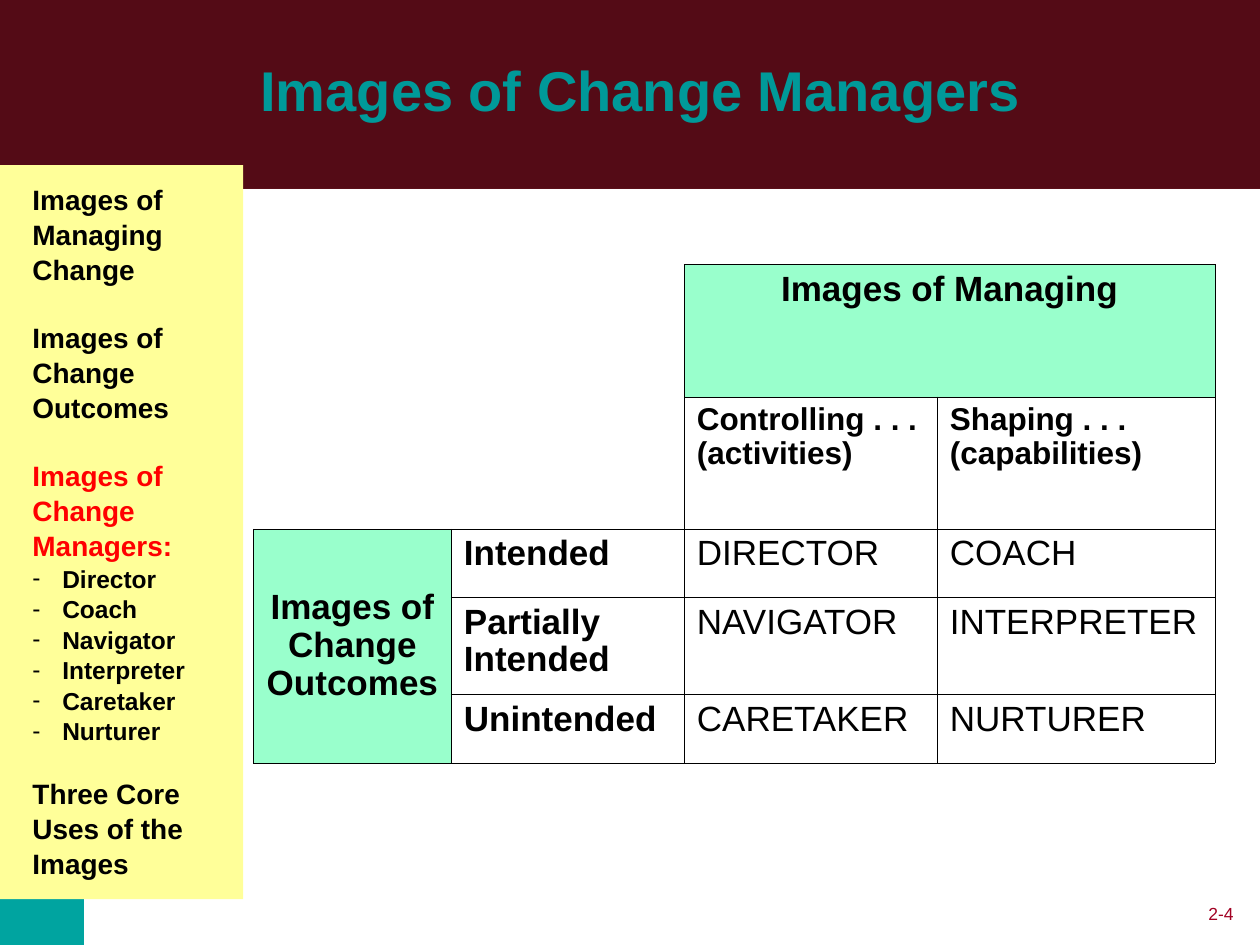
from dataclasses import dataclass

from lxml.etree import SubElement
from pptx import Presentation
from pptx.dml.color import RGBColor
from pptx.enum.shapes import MSO_SHAPE as Preset
from pptx.enum.text import MSO_ANCHOR as Anchor, PP_ALIGN as Align
from pptx.oxml.ns import qn
from pptx.util import Pt


@dataclass(frozen=True)
class Theme:
    """Colours, font and type sizes of the deck."""
    font: str = "Arial"
    navy: str = "003366"
    maroon: str = "6C0000"
    teal: str = "00A4A0"
    title: str = "009999"
    mint: str = "99FFCC"
    yellow: str = "FFFF99"
    white: str = "FFFFFF"
    black: str = "000000"
    red: str = "FF0000"
    crimson: str = "A20123"
    title_size: int = 32
    heading_size: int = 20
    column_size: int = 18
    topic_size: int = 16
    role_size: int = 14
    number_size: int = 10
    border: float = 0.45


class SlideBuilder:
    """Draws styled elements on one slide."""

    def __init__(self, slide, theme):
        self.slide, self.theme = slide, theme
        backdrop = slide.background.fill
        backdrop.solid()
        backdrop.fore_color.rgb = RGBColor.from_string(theme.navy)

    def panel(self, left, top, width, height, color, opacity=100):
        panel = self.slide.shapes.add_shape(
            Preset.RECTANGLE, Pt(left), Pt(top), Pt(width), Pt(height))
        panel.shadow.inherit = False
        panel.line.fill.background()
        panel.fill.solid()
        panel.fill.fore_color.rgb = RGBColor.from_string(color)
        if opacity < 100:
            tint = panel.fill._xPr.find(qn("a:solidFill"))[0]
            SubElement(tint, qn("a:alpha"), val=str(opacity * 1000))

    def style(self, paragraph, size, color, bold=True, align=Align.LEFT, spacing=1.0):
        paragraph.alignment = align
        paragraph.line_spacing = spacing
        for run in paragraph.runs:
            run.font.name = self.theme.font
            run.font.size = Pt(size)
            run.font.bold = bold
            run.font.color.rgb = RGBColor.from_string(color)

    def frame(self, left, top, width, height, anchor=Anchor.TOP):
        frame = self.slide.shapes.add_textbox(
            Pt(left), Pt(top), Pt(width), Pt(height)).text_frame
        frame.word_wrap = True
        frame.vertical_anchor = anchor
        return frame

    def label(self, text, left, top, width, height, size, color, bold, align, anchor):
        frame = self.frame(left, top, width, height, anchor)
        frame.text = text
        self.style(frame.paragraphs[0], size, color, bold, align)

    def bullet(self, paragraph, indent):
        properties = paragraph._p.get_or_add_pPr()
        properties.set("marL", str(Pt(indent)))
        properties.set("indent", str(-Pt(indent)))
        tint = SubElement(properties, qn("a:buClr"))
        SubElement(tint, qn("a:srgbClr"), val=self.theme.black)
        SubElement(properties, qn("a:buFont"), typeface=self.theme.font)
        SubElement(properties, qn("a:buChar"), char="-")

    def outline(self, left, top, width, height, entries):
        frame = self.frame(left, top, width, height)
        frame.text = "\n".join(text for text, *_ in entries)
        for paragraph, (_, size, color, gap, is_role) in zip(frame.paragraphs, entries):
            if is_role:
                self.bullet(paragraph, 17)
            if gap:
                paragraph.space_before = Pt(gap)
            self.style(paragraph, size, color, spacing=1.04)

    def edges(self, cell, visible):
        properties = cell._tc.get_or_add_tcPr()
        for side in "LRTB":
            edge = SubElement(properties, qn(f"a:ln{side}"), w=str(Pt(self.theme.border)))
            if side in visible:
                ink = SubElement(edge, qn("a:solidFill"))
                SubElement(ink, qn("a:srgbClr"), val=self.theme.black)
            else:
                SubElement(edge, qn("a:noFill"))

    def matrix(self, left, top, widths, heights, rows, merges):
        theme = self.theme
        table = self.slide.shapes.add_table(
            len(heights), len(widths), Pt(left), Pt(top),
            Pt(sum(widths)), Pt(sum(heights))).table
        table.first_row = table.horz_banding = False
        for column, width in zip(table.columns, widths):
            column.width = Pt(width)
        for row, height in zip(table.rows, heights):
            row.height = Pt(height)
        for (first_row, first_col), (last_row, last_col) in merges:
            table.cell(first_row, first_col).merge(table.cell(last_row, last_col))
        for r, texts in enumerate(rows):
            for c, text in enumerate(texts):
                cell = table.cell(r, c)
                corner = r < 2 and c < 2
                self.edges(cell, "R" * (c == 1) + "B" * (r == 1) if corner else "LRTB")
                if cell.is_merge_origin:
                    cell.fill.solid()
                    cell.fill.fore_color.rgb = RGBColor.from_string(theme.mint)
                    cell.vertical_anchor = Anchor.MIDDLE if c == 0 else Anchor.TOP
                else:
                    cell.fill.background()
                if text:
                    cell.text_frame.text = text
                    for paragraph in cell.text_frame.paragraphs:
                        self.style(
                            paragraph,
                            theme.column_size if r == 1 else theme.heading_size,
                            theme.black, bold=r < 2 or c < 2, spacing=0.97,
                            align=Align.CENTER if cell.is_merge_origin else Align.LEFT)


def main():
    """Build and save the slide."""
    theme = Theme()
    deck = Presentation()
    deck.slide_width, deck.slide_height = Pt(720), Pt(540)
    page = SlideBuilder(deck.slides.add_slide(deck.slide_layouts[6]), theme)

    page.panel(48, 108, 672, 432, theme.white)
    page.panel(0, 0, 720, 108, theme.maroon, opacity=78)
    page.panel(0, 270, 48, 270, theme.teal)
    page.label("Images of Change Managers", 30, 0, 672, 102, theme.title_size,
               theme.title, True, Align.CENTER, Anchor.MIDDLE)

    page.matrix(
        144.9, 151.2, [113, 133.1, 144.6, 158.7], [75.6, 75.6, 39.1, 55.5, 39.1],
        [["", "", "Images of Managing", ""],
         ["", "", "Controlling . . . (activities)", "Shaping . . .\n(capabilities)"],
         ["Images of Change Outcomes", "Intended", "DIRECTOR", "COACH"],
         ["", "Partially\nIntended", "NAVIGATOR", "INTERPRETER"],
         ["", "Unintended", "CARETAKER", "NURTURER"]],
        merges=[((0, 2), (0, 3)), ((2, 0), (4, 0))])

    def topic(text, gap, color=theme.black):
        return text, theme.topic_size, color, gap, False

    roles = ["Director", "Coach", "Navigator", "Interpreter", "Caretaker", "Nurturer"]
    page.panel(0, 94.3, 139, 419.5, theme.yellow)
    page.outline(11.5, 100, 139, 413.5, [
        topic("Images of Managing", 0),
        topic("Change", 0),
        topic("Images of Change Outcomes", 19.1),
        topic("Images of Change Managers:", 19.1, theme.red),
        *[(role, theme.role_size, theme.black, 0, True) for role in roles],
        topic("Three Core Uses of the Images", 16.7)])

    page.label("2-4", 648, 512.6, 64, 19.4, theme.number_size, theme.crimson,
               False, Align.RIGHT, Anchor.TOP)
    deck.save("out.pptx")


if __name__ == "__main__":
    main()
